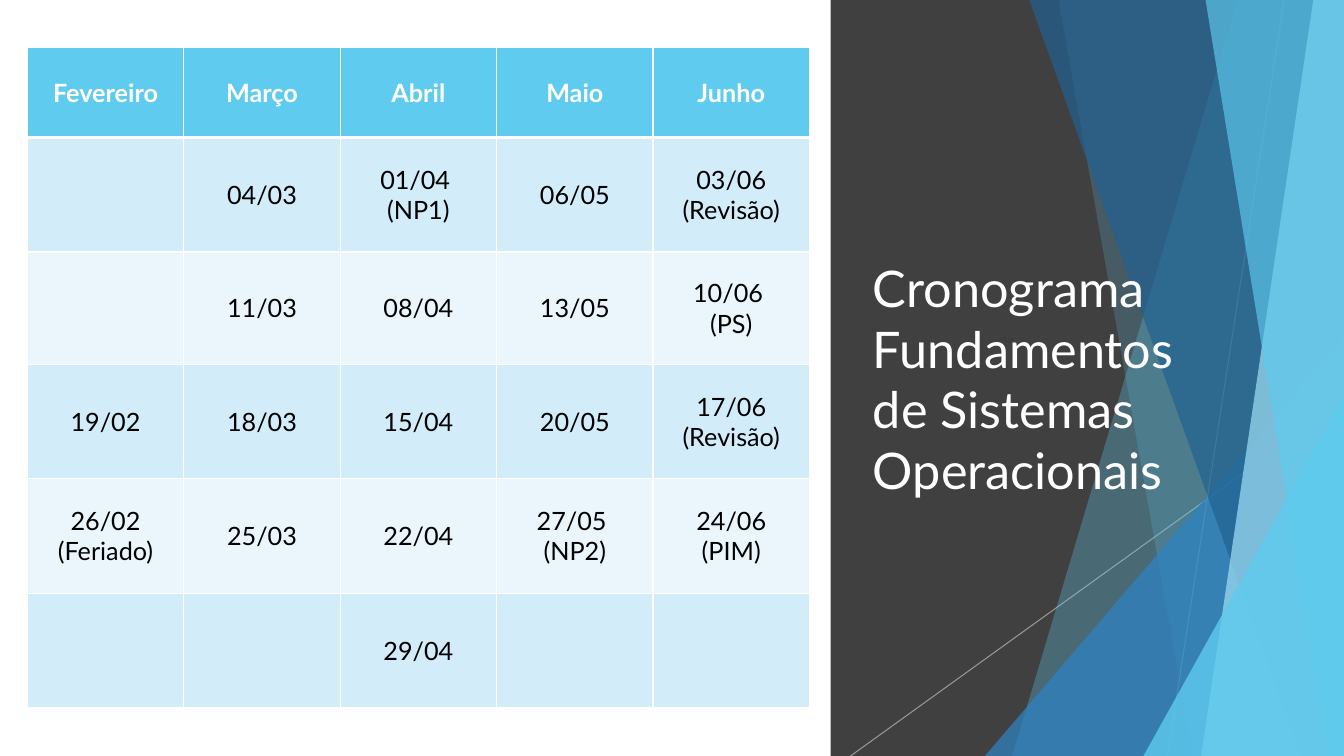
"""Build the course schedule slide: a table of dates beside a faceted title panel."""
from lxml import etree
from pptx import Presentation
from pptx import util as u
from pptx.dml.color import RGBColor
from pptx.enum import shapes as s, text as t
from pptx.oxml.ns import qn

PX = 9525
WIDE, HIGH = 1280, 720
FONT = "Lato"
TITLE = "Cronograma Fundamentos de Sistemas Operacionais"
MONTHS = ["Fevereiro", "Março", "Abril", "Maio", "Junho"]
DATES = [
    ["", "04/03", "01/04 \n(NP1)", "06/05", "03/06 (Revisão)"],
    ["", "11/03", "08/04", "13/05", "10/06 \n(PS)"],
    ["19/02", "18/03", "15/04", "20/05", "17/06\v(Revisão)"],
    ["26/02 (Feriado)", "25/03", "22/04", "27/05 \n(NP2)", "24/06\n(PIM)"],
    ["", "", "29/04", "", ""],
]
COL = 149
ROWS = [86, 109, 107, 109, 109, 109]
RAYS = [(1223, 0, 1112, 720), (1267, 391, 810, 720)]
# Each facet reaches the right edge: kind, left values, colour, opacity.
FACETS = [
    ("band", 1179, 964, "5FCBEF", 30),
    ("band", 1008, 1136, "5FCBEF", 20),
    ("peak", 938, 320, "2E83C3", 72),
    ("band", 980, 1239, "226292", 70),
    ("band", 1251, 1144, "9FE0F5", 70),
    ("band", 1148, 1265, "5FCBEF", 65),
    ("peak", 1089, 377, "5FCBEF", 80),
]

deck = Presentation()
deck.slide_width, deck.slide_height = WIDE * PX, HIGH * PX
slide = deck.slides.add_slide(deck.slide_layouts[6])
items = slide.shapes


def px(*nums):
    return [n * PX for n in nums]


def paint(fill, color, alpha=100):
    fill.solid()
    fill.fore_color.rgb = RGBColor.from_string(color)
    if alpha < 100:
        for tint in fill._xPr.iter(qn("a:srgbClr")):
            etree.SubElement(tint, qn("a:alpha")).set("val", str(alpha * 1000))


def style(shape, color, alpha=100):
    shape.shadow.inherit = False
    shape.line.fill.background()
    paint(shape.fill, color, alpha)


def write(para, words, size, color, bold=False):
    for i, part in enumerate(words.split("\v")):
        if i:
            para.add_line_break()
        run = para.add_run()
        run.text = part
        run.font.name, run.font.size, run.font.bold = FONT, u.Pt(size), bold
        paint(run.font.fill, color)


def edge(cell, sides):
    props = cell._tc.get_or_add_tcPr()
    for i, (side, width) in enumerate(sides):
        line = etree.Element(qn("a:ln" + side), w=str(u.Pt(width)))
        fill = etree.SubElement(line, qn("a:solidFill"))
        etree.SubElement(fill, qn("a:srgbClr"), val="FFFFFF")
        props.insert(i, line)


def facet(kind, first, second, color, alpha):
    if kind == "band":
        pen = items.build_freeform(first, -1, scale=PX)
        pen.add_line_segments([(WIDE, -1), (WIDE, HIGH), (second, HIGH)])
        shape = pen.convert_to_shape()
    else:
        shape = items.add_shape(s.MSO_SHAPE.ISOSCELES_TRIANGLE,
                                *px(first, second, WIDE - first, HIGH - second))
        shape.adjustments[0] = 1
    style(shape, color, alpha)


def panel():
    back = items.add_shape(s.MSO_SHAPE.RECTANGLE, *px(791, 0, WIDE - 791, HIGH))
    style(back, "404040")
    for ray in RAYS:
        line = items.add_connector(s.MSO_CONNECTOR.STRAIGHT, *px(*ray))
        line.line.width = u.Pt(0.75)
        paint(line.line.fill, "BFBFBF", 70)
        etree.SubElement(line._element.spPr, qn("a:effectLst"))
    for row in FACETS:
        facet(*row)
    frame = items.add_textbox(*px(822, 132, 354, 457)).text_frame
    frame.word_wrap = True
    frame.vertical_anchor = t.MSO_ANCHOR.MIDDLE
    write(frame.paragraphs[0], TITLE, 36, "FFFFFF")


def table():
    grid = items.add_table(len(ROWS), len(MONTHS),
                           *px(26, 45, COL * len(MONTHS), sum(ROWS))).table
    grid.first_row = grid.horz_banding = False
    for col in grid.columns:
        col.width = COL * PX
    for r, words in enumerate([MONTHS] + DATES):
        grid.rows[r].height = ROWS[r] * PX
        head = r == 0
        fill = "5FCBEF" if head else "D2ECF9" if r % 2 else "EAF6FC"
        sides = [("L", 1), ("R", 1), ("T", 3 if r == 1 else 1), ("B", 3 if head else 1)]
        for c, label in enumerate(words):
            cell = grid.cell(r, c)
            cell.vertical_anchor = t.MSO_ANCHOR.MIDDLE
            paint(cell.fill, fill)
            edge(cell, sides)
            for i, part in enumerate(label.split("\n") if label else []):
                frame = cell.text_frame
                para = frame.add_paragraph() if i else frame.paragraphs[0]
                para.alignment = t.PP_ALIGN.CENTER
                write(para, part, 18, "FFFFFF" if head else "000000", head)


panel()
table()
deck.save("out.pptx")
